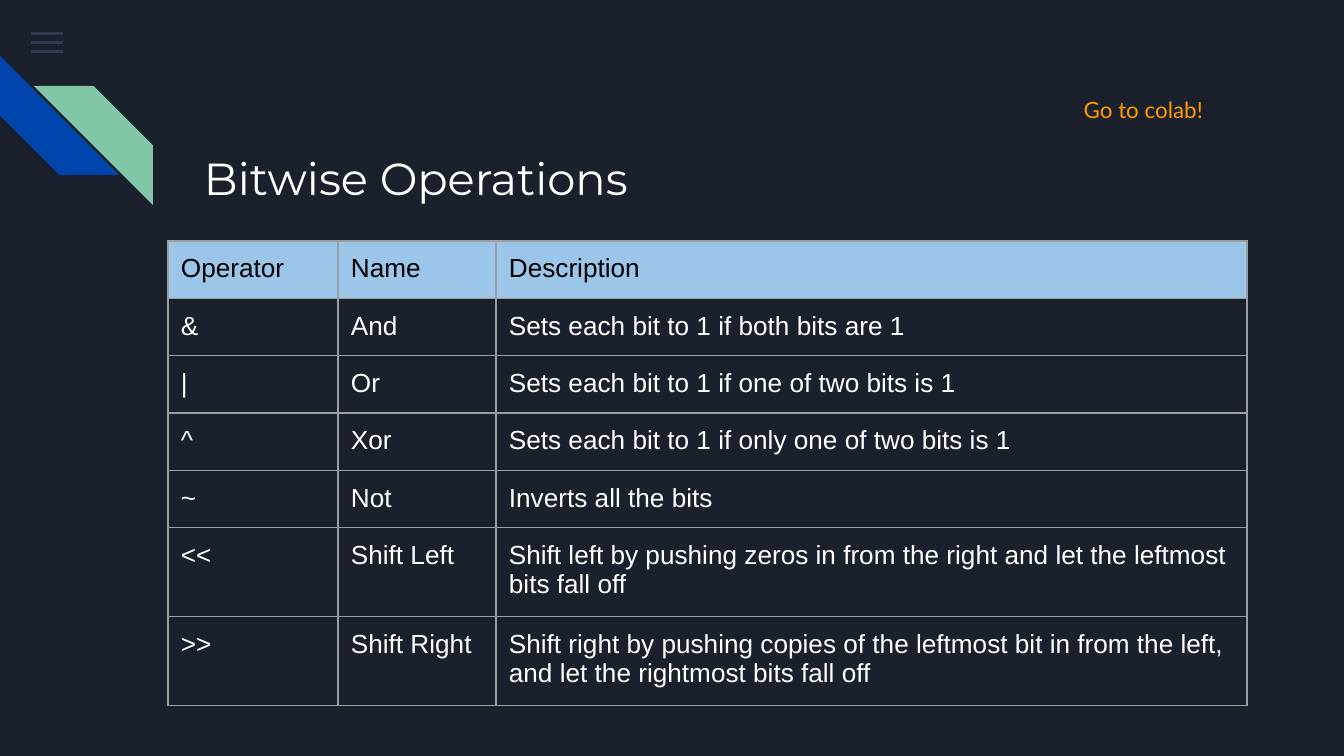
import pptx
import pptx.dml.color
import pptx.enum.shapes
import pptx.enum.text
import pptx.oxml
import pptx.oxml.ns
import pptx.util

EMU_PER_PX = 914400 / 134.4
COLORS = {
    "background": "1B212C",
    "menu": "55688B",
    "blue": "0145AC",
    "green": "82C7A5",
    "header": "9BC5E9",
    "border": "9E9E9E",
    "orange": "FF9900",
    "white": "FFFFFF",
    "black": "000000",
}
OPERATIONS = [
    ("Operator", "Name", "Description"),
    ("&", "And", "Sets each bit to 1 if both bits are 1"),
    ("|", "Or", "Sets each bit to 1 if one of two bits is 1"),
    ("^", "Xor", "Sets each bit to 1 if only one of two bits is 1"),
    ("~", "Not", "Inverts all the bits"),
    ("<<", "Shift Left",
     "Shift left by pushing zeros in from the right and let the leftmost bits fall off"),
    (">>", "Shift Right",
     "Shift right by pushing copies of the leftmost bit in from the left, "
     "and let the rightmost bits fall off"),
]
SHAPES = pptx.enum.shapes.MSO_SHAPE
ALIGN = pptx.enum.text.PP_ALIGN


def px(length):
    return pptx.util.Emu(round(length * EMU_PER_PX))


def rgb(color):
    return pptx.dml.color.RGBColor.from_string(COLORS[color])


class SlideBuilder:
    inset = 13

    def __init__(self, slide):
        self.slide = slide

    def background(self, color):
        fill = self.slide.background.fill
        fill.solid()
        fill.fore_color.rgb = rgb(color)

    def shape(self, kind, box, color, rotation=0, flip=False, opacity=None):
        shape = self.slide.shapes.add_shape(kind, *map(px, box))
        shape.shadow.inherit = False
        shape.rotation = rotation
        shape.fill.solid()
        shape.fill.fore_color.rgb = rgb(color)
        shape.line.fill.background()
        properties = shape._element.spPr
        if flip:
            properties.find(pptx.oxml.ns.qn("a:xfrm")).set("flipH", "1")
        if opacity is not None:
            tint = properties.find(".//" + pptx.oxml.ns.qn("a:srgbClr"))
            tint.append(pptx.oxml.parse_xml(
                f'<a:alpha {pptx.oxml.ns.nsdecls("a")} val="{opacity * 1000}"/>'))

    def add_text(self, frame, text, size, font, color, align=ALIGN.LEFT, spacing=1.0):
        paragraph = frame.paragraphs[0]
        paragraph.alignment = align
        paragraph.line_spacing = spacing
        run = paragraph.add_run()
        run.text = text
        run.font.size = pptx.util.Pt(size)
        run.font.name = font
        run.font.color.rgb = rgb(color)

    def set_margins(self, holder):
        holder.margin_left = holder.margin_right = px(self.inset)
        holder.margin_top = holder.margin_bottom = px(self.inset)

    def text(self, box, text, size, font, color, **layout):
        frame = self.slide.shapes.add_textbox(*map(px, box)).text_frame
        frame.word_wrap = True
        self.set_margins(frame)
        self.add_text(frame, text, size, font, color, **layout)

    def borders(self, cell, color):
        properties = cell._tc.get_or_add_tcPr()
        for position, side in enumerate("LRTB"):
            properties.insert(position, pptx.oxml.parse_xml(
                f'<a:ln{side} {pptx.oxml.ns.nsdecls("a")} w="{pptx.util.Pt(0.75)}">'
                f'<a:solidFill><a:srgbClr val="{COLORS[color]}"/></a:solidFill>'
                f'</a:ln{side}>'))

    def table(self, left, top, widths, heights, rows):
        box = (left, top, sum(widths), sum(heights))
        table = self.slide.shapes.add_table(
            len(rows), len(widths), *map(px, box)).table
        table.first_row = False
        table.horz_banding = False
        for column, width in zip(table.columns, widths):
            column.width = px(width)
        for row, height in zip(table.rows, heights):
            row.height = px(height)
        for r, texts in enumerate(rows):
            for c, text in enumerate(texts):
                cell = table.cell(r, c)
                self.set_margins(cell)
                if r == 0:
                    cell.fill.solid()
                    cell.fill.fore_color.rgb = rgb("header")
                else:
                    cell.fill.background()
                self.borders(cell, "border")
                self.add_text(cell.text_frame, text, 14, "Arial",
                              "white" if r else "black")


def main():
    deck = pptx.Presentation()
    deck.slide_width, deck.slide_height = px(1344), px(756)
    builder = SlideBuilder(deck.slides.add_slide(deck.slide_layouts[6]))
    builder.background("background")
    for bar in range(3):
        builder.shape(SHAPES.RECTANGLE, (31, 32 + 9 * bar, 32, 3), "menu", opacity=36)
    builder.shape(SHAPES.DIAGONAL_STRIPE, (0, 56, 119, 119), "blue", rotation=270)
    builder.shape(SHAPES.DIAGONAL_STRIPE, (34, 86, 119, 119), "green", flip=True)
    builder.text((191, 138, 1035, 77), "Bitwise Operations", 24, "Montserrat", "white")
    builder.table(168, 241, (170, 158, 751), [56] * 5 + [86] * 2, OPERATIONS)
    builder.text((985, 70, 231, 47), "Go to colab!", 12, "Lato", "orange",
                 align=ALIGN.RIGHT, spacing=1.5)
    deck.save("out.pptx")


if __name__ == "__main__":
    main()
